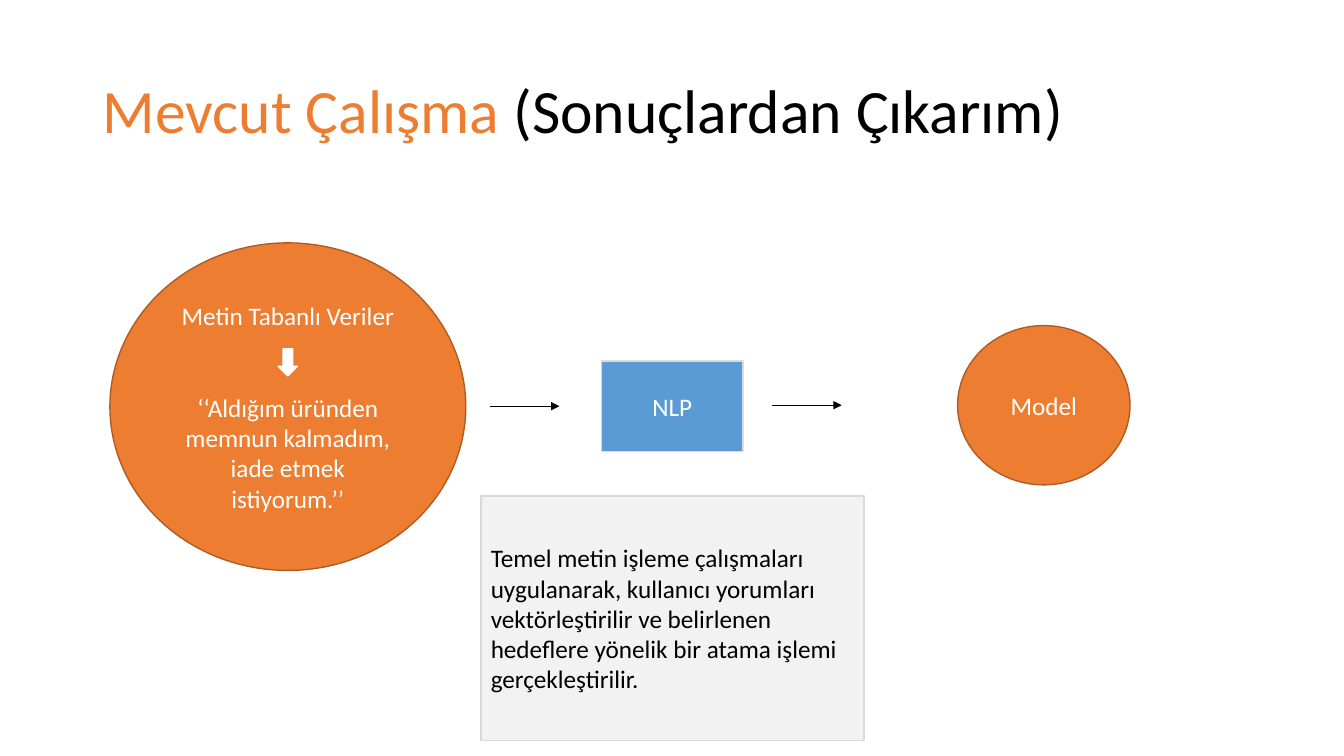
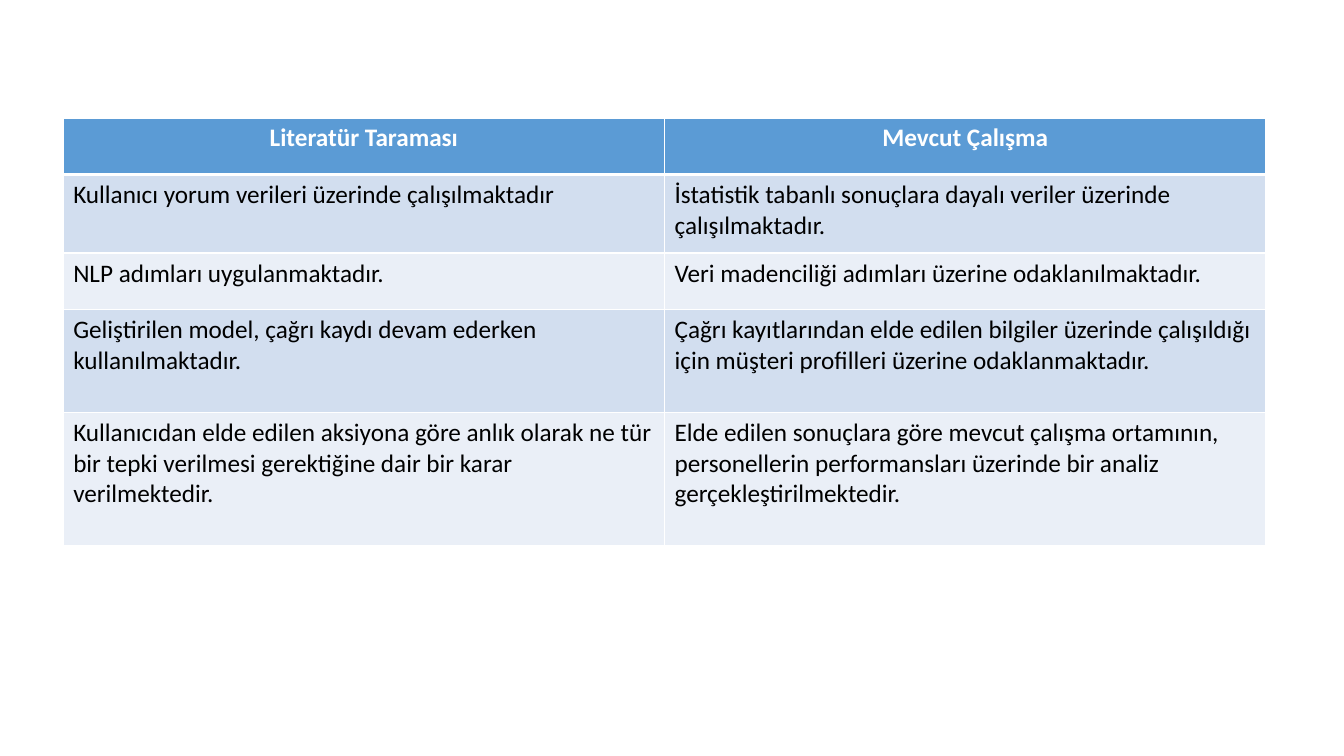
from pptx import Presentation
from pptx.dml.color import RGBColor as RGB
from pptx.enum.shapes import MSO_CONNECTOR as LINE, MSO_SHAPE as SHAPE
from pptx.enum.text import MSO_ANCHOR as ANCHOR, MSO_AUTO_SIZE as AUTO, PP_ALIGN as ALIGN
from pptx.oxml.ns import qn
from pptx.util import Inches, Pt
from lxml.etree import SubElement as Sub

# Shared colours and type
ORANGE = RGB(0xED, 0x7D, 0x31)
RUST = RGB(0xAF, 0x5C, 0x24)
BLUE = RGB(0x5B, 0x9B, 0xD5)
PALE = RGB(0xD2, 0xDE, 0xEF)
MIST = RGB(0xEA, 0xEF, 0xF7)
GREY = RGB(0xF2, 0xF2, 0xF2)
EDGE = RGB(0xD9, 0xD9, 0xD9)
SILVER = RGB(0xDB, 0xDB, 0xDB)
WHITE = RGB(0xFF, 0xFF, 0xFF)
BLACK = RGB(0, 0, 0)
FONT = "Calibri"

deck = Presentation()
deck.slide_width, deck.slide_height = Inches(13.333), Inches(7.5)

# Grid of 100 columns by 100 rows
COL, ROW = deck.slide_width / 100, deck.slide_height / 100


def place(x, y, w, h):
    return int(x * COL), int(y * ROW), int(w * COL), int(h * ROW)


def write(para, text, color, size=18, bold=False):
    run = para.add_run()
    run.text = text
    font = run.font
    font.name, font.size, font.bold = FONT, Pt(size), bold
    font.color.rgb = color


# Slide 1: title
slide = deck.slides.add_slide(deck.slide_layouts[5])
title = slide.shapes.title
title.left, title.top, title.width, title.height = place(6.9, 5.33, 86.25, 19.33)
frame = title.text_frame
frame.auto_size, frame.word_wrap = AUTO.NONE, True
frame.vertical_anchor = ANCHOR.MIDDLE
para = frame.paragraphs[0]
para.alignment, para.line_spacing = ALIGN.LEFT, 0.9
write(para, "Mevcut Çalışma", ORANGE, 44)
write(para, " (Sonuçlardan Çıkarım)", BLACK, 44)

# Flow shapes: kind, place, fill, line, text colour, alignment, paragraphs
flow = [
    (SHAPE.OVAL, (8.18, 32.13, 26.48, 43.33), ORANGE, RUST, WHITE, ALIGN.CENTER,
     ["Metin Tabanlı Veriler",
      "‘‘Aldığım üründen memnun kalmadım, iade etmek istiyorum.’’"]),
    (SHAPE.DOWN_ARROW, (20.7, 46.13, 1.43, 3.6), WHITE, WHITE, WHITE, ALIGN.CENTER, []),
    (SHAPE.RECTANGLE, (44.78, 47.73, 10.5, 12), BLUE, SILVER, WHITE, ALIGN.CENTER, ["NLP"]),
    (SHAPE.OVAL, (71.25, 43.07, 12.83, 21.07), ORANGE, RUST, WHITE, ALIGN.CENTER, ["Model"]),
    (SHAPE.RECTANGLE, (35.78, 65.6, 28.5, 32.4), GREY, EDGE, BLACK, ALIGN.LEFT,
     ["Temel metin işleme çalışmaları uygulanarak, kullanıcı yorumları "
      "vektörleştirilir ve belirlenen hedeflere yönelik bir atama işlemi "
      "gerçekleştirilir."]),
]
for kind, box, fill, edge, ink, align, texts in flow:
    shape = slide.shapes.add_shape(kind, *place(*box))
    shape.shadow.inherit = False
    shape.fill.solid()
    shape.fill.fore_color.rgb = fill
    shape.line.color.rgb, shape.line.width = edge, Pt(1)
    frame = shape.text_frame
    frame.word_wrap, frame.vertical_anchor = True, ANCHOR.MIDDLE
    for i, text in enumerate(texts):
        para = frame.add_paragraph() if i else frame.paragraphs[0]
        para.alignment = align
        if i:
            para.space_before = Pt(44)  # room for the down arrow
        write(para, text, ink)

# Arrows between the stages
for x, y in [(36.45, 53.73), (57.45, 53.6)]:
    left, top, span, _ = place(x, y, 5.18, 0)
    arrow = slide.shapes.add_connector(LINE.STRAIGHT, left, top, left + span, top)
    arrow.line.color.rgb, arrow.line.width = BLACK, Pt(0.5)
    Sub(arrow.line._get_or_add_ln(), qn("a:tailEnd"), type="triangle")
    Sub(arrow._element.spPr, qn("a:effectLst"))

# Slide 2: comparison table
slide = deck.slides.add_slide(deck.slide_layouts[6])
rows = [
    ("Literatür Taraması", "Mevcut Çalışma"),
    ("Kullanıcı yorum verileri üzerinde çalışılmaktadır",
     "İstatistik tabanlı sonuçlara dayalı veriler üzerinde çalışılmaktadır."),
    ("NLP adımları uygulanmaktadır.",
     "Veri madenciliği adımları üzerine odaklanılmaktadır."),
    ("Geliştirilen model, çağrı kaydı devam ederken kullanılmaktadır.",
     "Çağrı kayıtlarından elde edilen bilgiler üzerinde çalışıldığı için "
     "müşteri profilleri üzerine odaklanmaktadır."),
    ("Kullanıcıdan elde edilen aksiyona göre anlık olarak ne tür bir tepki "
     "verilmesi gerektiğine dair bir karar verilmektedir.",
     "Elde edilen sonuçlara göre mevcut çalışma ortamının, personellerin "
     "performansları üzerinde bir analiz gerçekleştirilmektedir."),
]
tall = [7.47, 10.4, 7.47, 13.6, 17.6]
table = slide.shapes.add_table(
    len(rows), 2, *place(4.7, 15.6, 89.5, sum(tall))).table

for r, texts in enumerate(rows):
    table.rows[r].height = int(tall[r] * ROW)
    head = r == 0
    for c, text in enumerate(texts):
        cell = table.cell(r, c)
        # White rules, thicker under the header
        props = cell._tc.get_or_add_tcPr()
        for side in ("lnL", "lnR", "lnT", "lnB"):
            thick = (r, side) in [(0, "lnB"), (1, "lnT")]
            rule = Sub(props, qn("a:" + side), w=str(Pt(3 if thick else 1)))
            Sub(Sub(rule, qn("a:solidFill")), qn("a:srgbClr"), val=str(WHITE))
        cell.fill.solid()
        cell.fill.fore_color.rgb = BLUE if head else PALE if r % 2 else MIST
        para = cell.text_frame.paragraphs[0]
        para.alignment = ALIGN.CENTER if head else ALIGN.LEFT
        write(para, text, WHITE if head else BLACK, bold=head)

deck.save("out.pptx")
